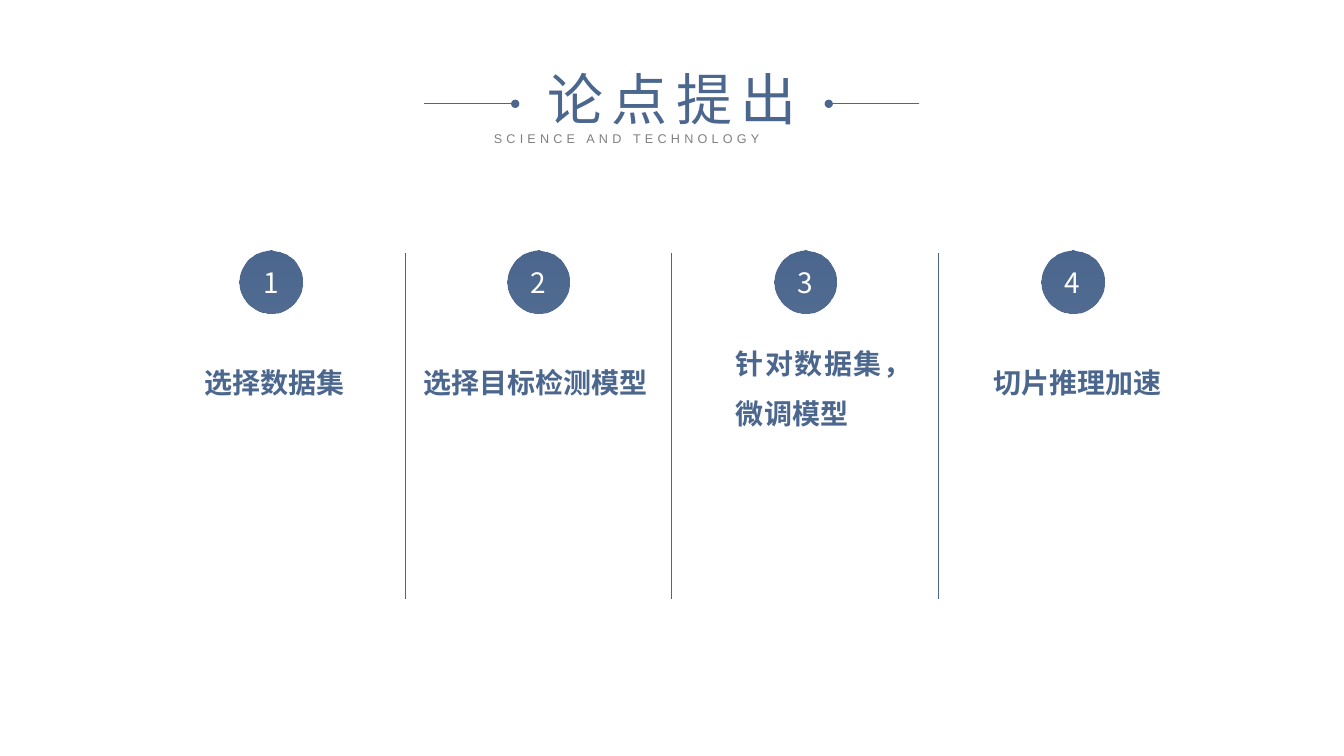
from dataclasses import dataclass

from pptx import Presentation
from pptx import util as u
from pptx.dml.color import RGBColor
from pptx.enum import shapes, text
from pptx.oxml.ns import qn
from lxml import etree

PX = 9144  # 100 px to the inch


@dataclass(frozen=True)
class Theme:
    blue: str = "4C678E"
    grey: str = "808080"
    white: str = "FFFFFF"
    cjk: str = "Noto Sans CJK SC"
    latin: str = "Arial"
    title: int = 40
    body: int = 20
    caption: int = 9


THEME = Theme()

# wording, left within the column, top within the region, width, height
POINTS = [
    ("选择数据集", 66, 97, 153, 45),
    ("选择目标检测模型", 18, 97, 279, 45),
    ("针对数据集，微调模型", 64, 78, 174, 95),
    ("切片推理加速", 54, 97, 189, 45),
]


def px(*lengths):
    return [u.Emu(round(length) * PX) for length in lengths]


def write(shape, wording, font, size, color, align, bold=False, spacing=0):
    """Fill a shape with one paragraph in one style; spacing is in points."""
    para = shape.text_frame.paragraphs[0]
    para.text = wording
    para.alignment = align
    span = para.runs[0]
    span.font.size = u.Pt(size)
    span.font.bold = bold
    span.font.color.rgb = RGBColor.from_string(color)
    span.font.name = font
    props = span.font._element
    etree.SubElement(props, qn("a:ea")).set("typeface", font)
    if spacing:
        props.set("spc", str(spacing * 100))
    return para


def add_text(page, box, wording, font, size, color, align, inset=None, **style):
    shape = page.shapes.add_textbox(*px(*box))
    frame = shape.text_frame
    frame.word_wrap = True
    if inset is not None:
        frame.margin_left = frame.margin_right = u.Pt(inset)
        frame.margin_top = frame.margin_bottom = u.Pt(inset)
    return write(shape, wording, font, size, color, align, **style)


def add_line(page, start, end, width, dot=False):
    """Draw a straight line, with a round dot at its end if asked."""
    line = page.shapes.add_connector(
        shapes.MSO_CONNECTOR.STRAIGHT, *px(*start, *end))
    line.line.color.rgb = RGBColor.from_string(THEME.blue)
    line.line.width = u.Pt(width)
    if dot:
        etree.SubElement(line.line._get_or_add_ln(), qn("a:tailEnd")).set("type", "oval")
    etree.SubElement(line._element.spPr, qn("a:effectLst"))


def add_badge(page, box, number):
    badge = page.shapes.add_shape(shapes.MSO_SHAPE.OVAL, *px(*box))
    badge.shadow.inherit = False
    badge.line.fill.background()
    badge.fill.gradient()
    badge.fill.gradient_angle = 270
    for stop in badge.fill.gradient_stops:
        stop.color.rgb = RGBColor.from_string(THEME.blue)
    last_color = badge._element.spPr.findall(".//" + qn("a:srgbClr"))[-1]
    etree.SubElement(last_color, qn("a:alpha")).set("val", "97000")
    badge.text_frame.vertical_anchor = text.MSO_ANCHOR.MIDDLE
    write(badge, str(number), THEME.cjk, THEME.body, THEME.white,
          text.PP_ALIGN.CENTER)


def add_heading(page, left, top, width):
    """Title with a dotted rule on either side and a caption below."""
    add_text(page, (left + 59, top + 66, 374, 25), "SCIENCE AND TECHNOLOGY",
             THEME.latin, THEME.caption, THEME.grey,
             text.PP_ALIGN.JUSTIFY, spacing=3)
    add_text(page, (left + 95, top, 301, 77), "论点提出",
             THEME.cjk, THEME.title, THEME.blue,
             text.PP_ALIGN.CENTER, spacing=6)
    rule_y = top + 44
    for outer, inner in ((left, left + 90), (left + width, left + width - 90)):
        add_line(page, (outer, rule_y), (inner, rule_y), 0.5, dot=True)


def add_columns(page, left, top, width, height):
    """Numbered points in equal columns with dividers between them."""
    pitch = width / len(POINTS)
    badge = 62
    for index, (wording, dx, dy, label_w, label_h) in enumerate(POINTS):
        column = left + index * pitch
        add_badge(page, (column + (pitch - badge) / 2, top, badge, badge), index + 1)
        para = add_text(page, (column + dx, top + dy, label_w, label_h), wording,
                        THEME.cjk, THEME.body, THEME.blue,
                        text.PP_ALIGN.JUSTIFY, inset=0, bold=True)
        para.line_spacing = 1.5
        if index:
            add_line(page, (column, top + 2), (column, top + height), 1)


def main():
    deck = Presentation()
    deck.slide_width, deck.slide_height = px(1333, 750)
    page = deck.slides.add_slide(deck.slide_layouts[6])
    add_heading(page, 421, 59, 491)
    add_columns(page, 137, 249, 1059, 345)
    deck.save("out.pptx")


if __name__ == "__main__":
    main()
